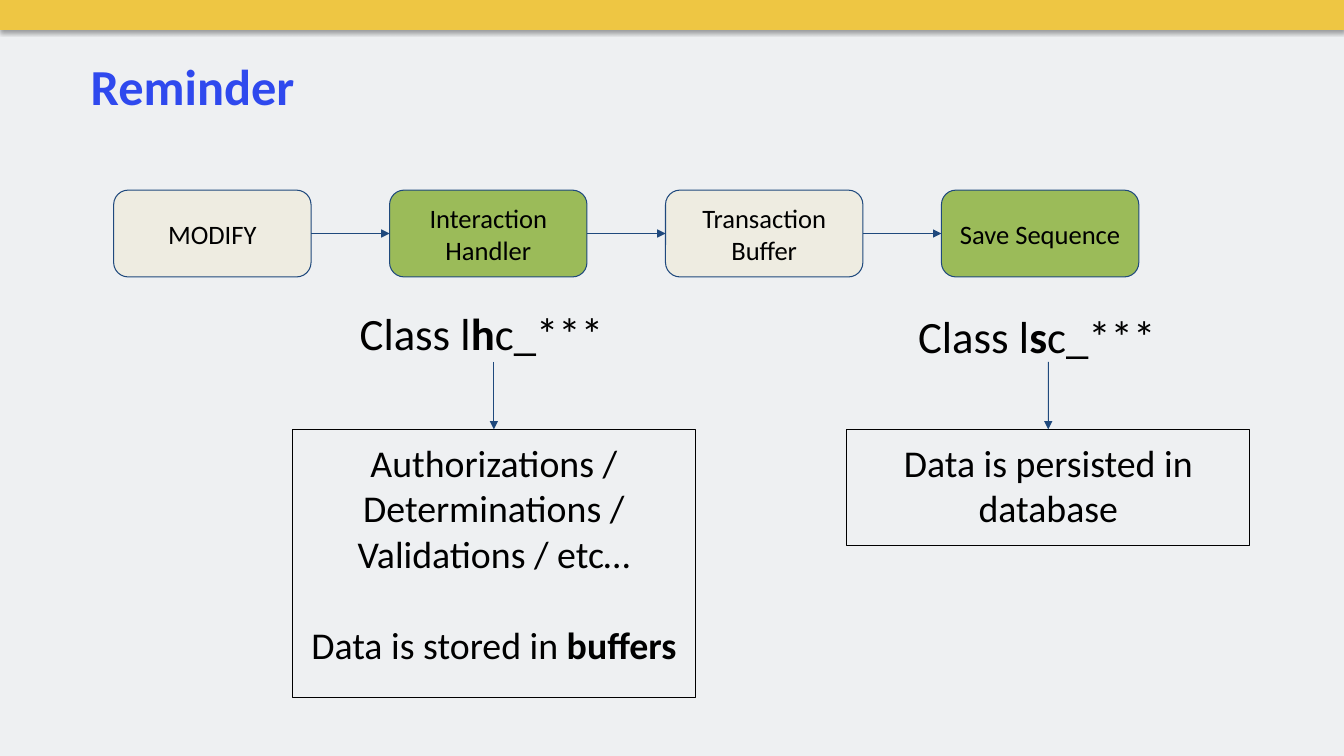
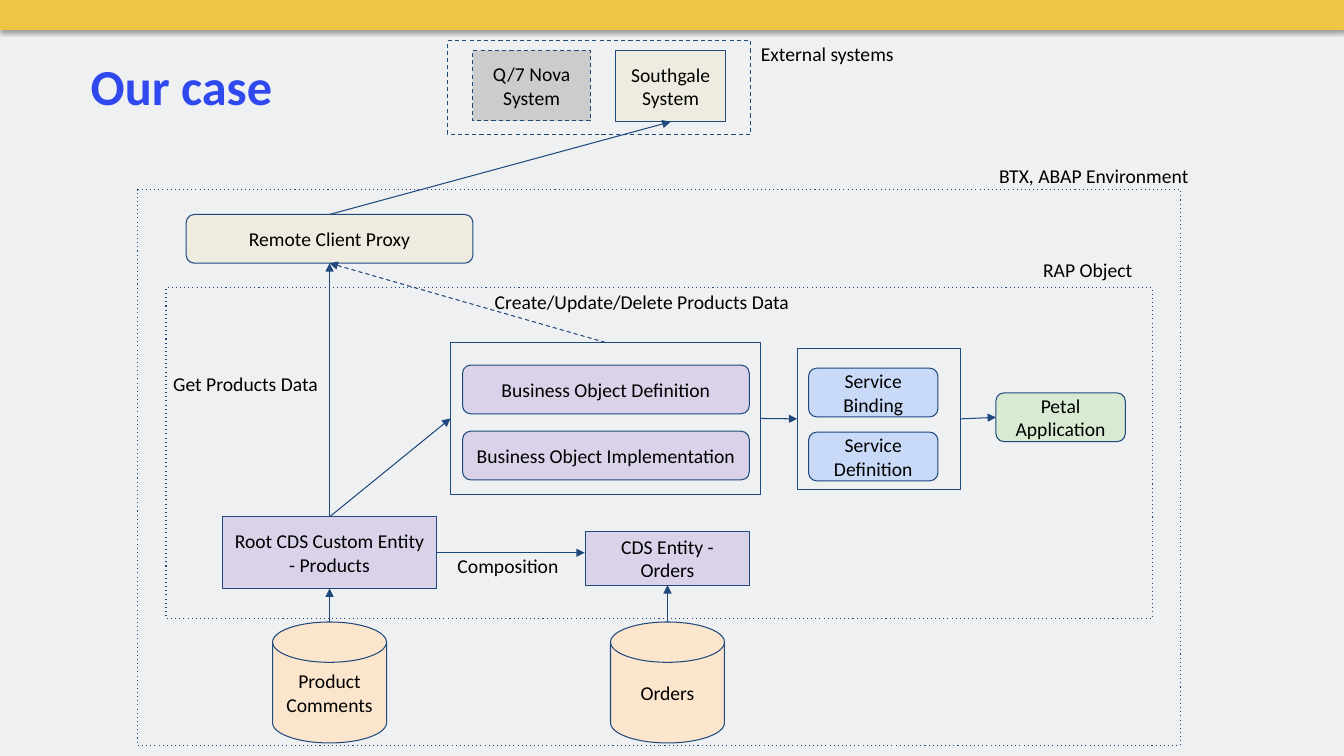
import lxml.etree
import pptx
import pptx.dml.color
import pptx.enum.shapes
import pptx.enum.text
import pptx.oxml.ns
import pptx.util

Pt = pptx.util.Pt
qn = pptx.oxml.ns.qn
PRESET = pptx.enum.shapes.MSO_SHAPE
ALIGN = pptx.enum.text.PP_ALIGN
ANCHOR = pptx.enum.text.MSO_ANCHOR

SLIDE_W, SLIDE_H = 960, 540
FONT = "Calibri"
BACKGROUND, BAND, TITLE = "EEF0F2", "EEC643", "2F49EE"
BLUE, BLACK = "1F497D", "000000"
SAND, GREEN, GREY = "EEECE1", "9BBB59", "CCCCCC"
LILAC, PEACH, SKY, MINT = "D9D2E9", "FCE5CD", "C9DAF8", "D9EAD3"
TOP, LEFT, BOTTOM, RIGHT = range(4)

STEPS = [
    ("MODIFY", SAND),
    ("Interaction Handler", GREEN),
    ("Transaction Buffer", SAND),
    ("Save Sequence", GREEN),
]
STEP_LEFT, STEP_TOP, STEP_W, STEP_H, STEP_PITCH = 81.2, 135.8, 141, 62, 197.1

# Every second part of a paragraph is bold.
CLASSES = [
    {"name": ["Class l", "h", "c_***"], "name_box": (249.8, 211, 206, 47.5),
     "duties": [["Authorizations / Determinations /"], ["Validations / etc…"],
                ["Data is stored in ", "buffers"]],
     "duties_box": (208.8, 306.7, 288, 191.5), "gap_before_last": 33},
    {"name": ["Class l", "s", "c_***"], "name_box": (648.7, 213, 189, 47.5),
     "duties": [["Data is persisted in database"]],
     "duties_box": (604.8, 306.7, 288, 82.8), "gap_before_last": 0},
]
CLASS_ARROW_TOP = 258.5

FRAMES = {
    "environment": ((98.4, 135.4, 744.6, 397.2), "dot"),
    "rap": ((118.6, 205.4, 704.4, 236.2), "dot"),
    "external": ((319.6, 29.2, 216.7, 66.8), "dash"),
    "business": ((321.8, 244.6, 221.2, 108.6), None),
    "service": ((569.4, 248.8, 116.6, 100.8), None),
}
RECT, ROUND, DISK = (PRESET.RECTANGLE, PRESET.FLOWCHART_ALTERNATE_PROCESS,
                     PRESET.FLOWCHART_MAGNETIC_DISK)
WIDE, NARROW, DISK_SIZE = (204.8, 34.8), (92.4, 34.8), (81.4, 86.4)
NODES = {
    "erp": ("Q/7 Nova System", RECT, (337.7, 36, 84.2, 50.4), GREY, "dash"),
    "shop": ("Southgale System", RECT, (439.7, 36, 78.6, 51), SAND, None),
    "proxy": ("Remote Client Proxy", ROUND, (133, 153.2, *WIDE), SAND, None),
    "root": ("Root CDS Custom Entity - Products", RECT,
             (159, 369.2, 152.8, 51.2), LILAC, None),
    "entity": ("CDS Entity - Orders", RECT, (418.5, 379.3, 116.6, 38.7), LILAC, None),
    "comments": ("Product Comments", DISK, (194.7, 444.3, *DISK_SIZE), PEACH, None),
    "orders": ("Orders", DISK, (436.1, 444.3, *DISK_SIZE), PEACH, None),
    "definition": ("Business Object Definition", ROUND,
                   (330.4, 260.8, *WIDE), LILAC, None),
    "implementation": ("Business Object Implementation", ROUND,
                       (330.4, 308, *WIDE), LILAC, None),
    "binding": ("Service Binding", ROUND, (577.6, 263, *NARROW), SKY, None),
    "service_definition": ("Service Definition", ROUND,
                           (577.6, 308.7, *NARROW), SKY, None),
    "app": ("Petal Application", ROUND, (711.4, 280.7, *NARROW), MINT, None),
}
LINKS = [
    (("proxy", TOP), ("shop", BOTTOM), None),
    (("root", TOP), ("proxy", BOTTOM), None),
    (("business", TOP), ("proxy", BOTTOM), "dash"),
    (("root", TOP), ("business", LEFT), None),
    (("business", RIGHT), ("service", LEFT), None),
    (("service", RIGHT), ("app", LEFT), None),
    (("root", RIGHT), (417.6, 394.8), None),
    ((235.4, 444.3), ("root", BOTTOM), None),
    ((476.8, 444.3), ("entity", BOTTOM), None),
]
LABELS = [
    ("External systems", (536.4, 23, 116.6, 25.2)),
    ("BTX, ABAP Environment", (706.5, 110, 216.7, 25.2)),
    ("RAP Object", (738, 177, 116.6, 25.2)),
    ("Get Products Data", (116.6, 258.5, 128.2, 25.2)),
    ("Create/Update/Delete Products Data", (346.3, 200, 225.4, 25.2)),
    ("Composition", (319.7, 388.3, 92.2, 25.2)),
]


def rgb(value):
    return pptx.dml.color.RGBColor.from_string(value)


def points(values):
    return [Pt(value) for value in values]


def style_line(item, color, dash=None, arrow=False):
    item.line.color.rgb = rgb(color)
    item.line.width = Pt(0.75)
    outline = item.element.spPr.find(qn("a:ln"))
    if dash:
        lxml.etree.SubElement(outline, qn("a:prstDash"), val=dash)
    if arrow:
        lxml.etree.SubElement(outline, qn("a:tailEnd"), type="triangle")


def write(item, paragraphs, size, align=ALIGN.CENTER, anchor=ANCHOR.MIDDLE):
    frame = item.text_frame
    frame.word_wrap = True
    frame.vertical_anchor = anchor
    frame.margin_left = frame.margin_right = Pt(7.2)
    frame.margin_top = frame.margin_bottom = Pt(7.2)
    for index, parts in enumerate(paragraphs):
        paragraph = frame.add_paragraph() if index else frame.paragraphs[0]
        paragraph.alignment = align
        for position, part in enumerate(parts):
            run = paragraph.add_run()
            run.text = part
            run.font.name = FONT
            run.font.size = Pt(size)
            run.font.bold = position % 2 == 1
            run.font.color.rgb = rgb(BLACK)


def add_box(slide, preset, place, fill=None, line=BLUE, dash=None):
    box = slide.shapes.add_shape(preset, *points(place))
    box.shadow.inherit = False
    if fill:
        box.fill.solid()
        box.fill.fore_color.rgb = rgb(fill)
    else:
        box.fill.background()
    if line:
        style_line(box, line, dash)
    else:
        box.line.fill.background()
    return box


def add_label(slide, parts, place, size):
    label = slide.shapes.add_textbox(*points(place))
    write(label, [parts], size, ALIGN.LEFT, ANCHOR.TOP)


def add_arrow(slide, start, end, dash=None, boxes=None):
    def joined(site):
        return boxes is not None and site[0] in boxes

    begin = (0, 0) if joined(start) else start
    finish = (0, 0) if joined(end) else end
    arrow = slide.shapes.add_connector(
        pptx.enum.shapes.MSO_CONNECTOR.STRAIGHT, *points((*begin, *finish)))
    if joined(start):
        arrow.begin_connect(boxes[start[0]], start[1])
    if joined(end):
        arrow.end_connect(boxes[end[0]], end[1])
    style_line(arrow, BLUE, dash, arrow=True)
    lxml.etree.SubElement(arrow.element.spPr, qn("a:effectLst"))


def style_layout(deck, layout):
    master = deck.slide_master
    master.background.fill.solid()
    master.background.fill.fore_color.rgb = rgb(BACKGROUND)
    level = master.element.find(".//" + qn("p:titleStyle")).find(qn("a:lvl1pPr"))
    level.set("algn", "l")
    defaults = level.find(qn("a:defRPr"))
    defaults.set("sz", "3600")
    defaults.set("b", "1")
    defaults.find(".//" + qn("a:schemeClr")).getparent().replace(
        defaults.find(".//" + qn("a:schemeClr")),
        lxml.etree.Element(qn("a:srgbClr"), val=TITLE))
    title = next(item for item in layout.placeholders
                 if item.placeholder_format.idx == 0)
    title.left, title.top, title.width, title.height = points((57.6, 36, 864, 51))
    title.text_frame.vertical_anchor = ANCHOR.TOP


def move_band_to_layout(slide, layout):
    band = add_box(slide, RECT, (0, 0, SLIDE_W, 21.4), BAND, None)
    effects = band.element.spPr.find(qn("a:effectLst"))
    shadow = lxml.etree.SubElement(
        effects, qn("a:outerShdw"), blurRad=str(Pt(3.1)), dist=str(Pt(1.8)),
        dir="5400000", rotWithShape="0")
    color = lxml.etree.SubElement(shadow, qn("a:srgbClr"), val=BLACK)
    lxml.etree.SubElement(color, qn("a:alpha"), val="35000")
    layout.shapes.element.append(band.element)


def add_slide(deck, layout, title):
    slide = deck.slides.add_slide(layout)
    slide.shapes.title.text_frame.text = title
    return slide


def build_reminder(slide):
    boxes = {}
    for index, (step, fill) in enumerate(STEPS):
        place = (STEP_LEFT + index * STEP_PITCH, STEP_TOP, STEP_W, STEP_H)
        boxes[step] = add_box(slide, PRESET.ROUNDED_RECTANGLE, place, fill)
        write(boxes[step], [[step]], 19)
    for (before, _), (after, _) in zip(STEPS, STEPS[1:]):
        add_arrow(slide, (before, RIGHT), (after, LEFT), boxes=boxes)
    for entry in CLASSES:
        add_label(slide, entry["name"], entry["name_box"], 32)
        left, top, width, height = entry["duties_box"]
        duties = add_box(slide, RECT, (left, top, width, height), line=BLACK)
        write(duties, entry["duties"], 27, anchor=ANCHOR.TOP)
        duties.text_frame.paragraphs[-1].space_before = Pt(entry["gap_before_last"])
        add_arrow(slide, (left + width / 2, CLASS_ARROW_TOP), ("duties", TOP),
                  boxes={"duties": duties})


def build_case(slide):
    boxes = {}
    for key, (place, dash) in FRAMES.items():
        boxes[key] = add_box(slide, RECT, place, dash=dash)
    for key, (text, preset, place, fill, dash) in NODES.items():
        boxes[key] = add_box(slide, preset, place, fill, dash=dash)
        write(boxes[key], [[text]], 14)
    for start, end, dash in LINKS:
        add_arrow(slide, start, end, dash, boxes)
    for text, place in LABELS:
        add_label(slide, [text], place, 14)


def main():
    deck = pptx.Presentation()
    deck.slide_width, deck.slide_height = Pt(SLIDE_W), Pt(SLIDE_H)
    layout = deck.slide_layouts[5]
    style_layout(deck, layout)
    reminder = add_slide(deck, layout, "Reminder")
    move_band_to_layout(reminder, layout)
    build_reminder(reminder)
    build_case(add_slide(deck, layout, "Our case"))
    deck.save("out.pptx")


if __name__ == "__main__":
    main()
